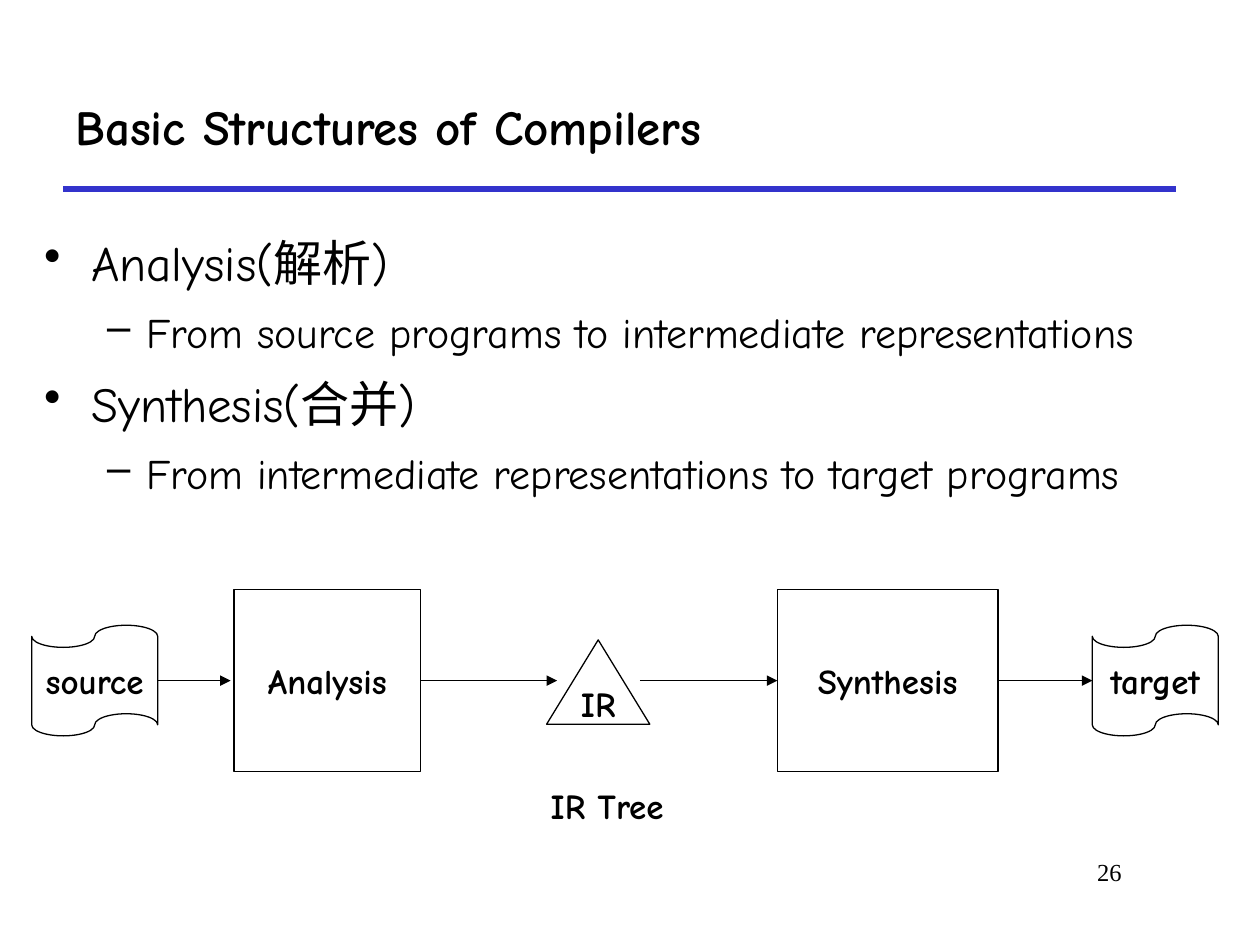
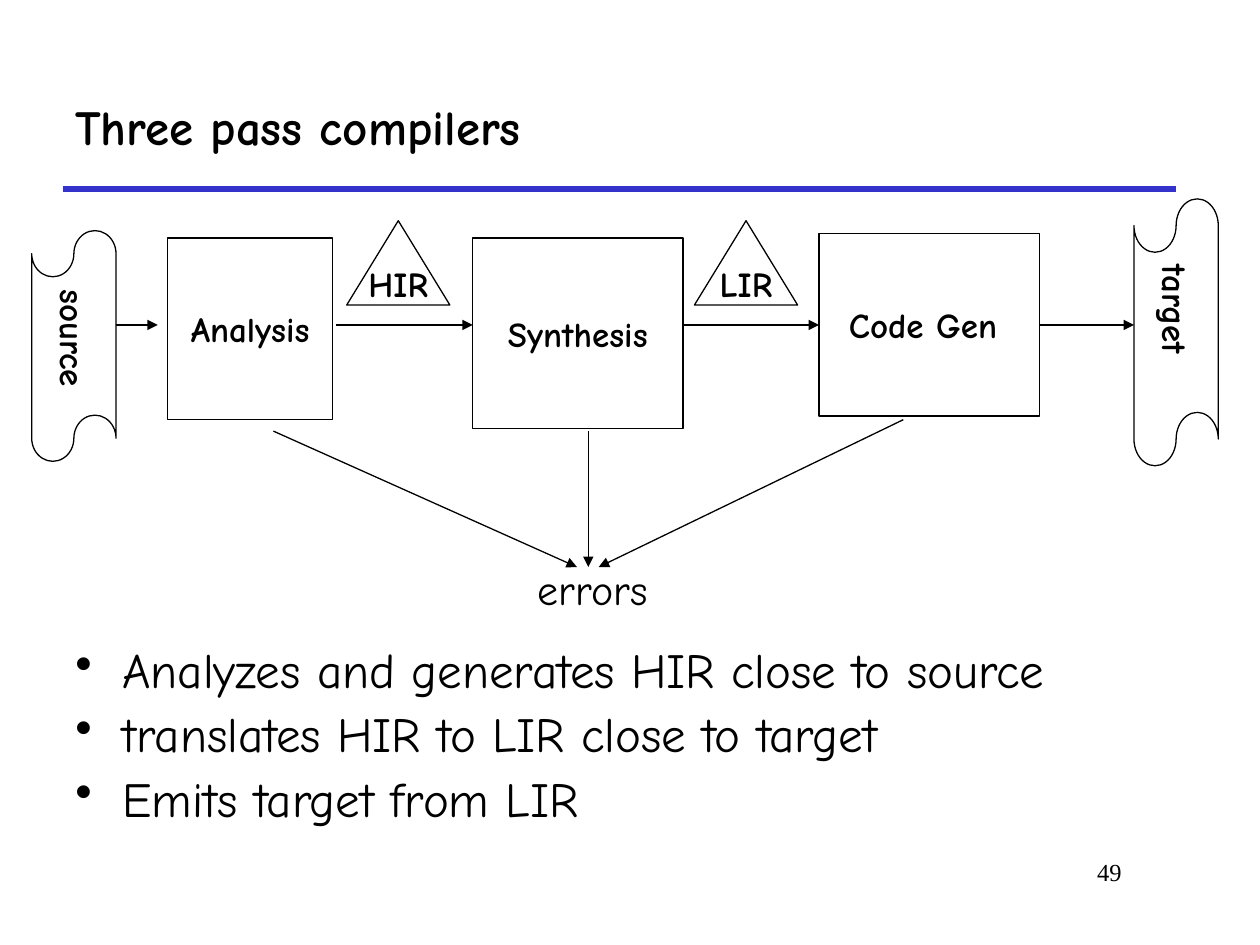
from dataclasses import dataclass

from pptx import Presentation
from pptx.dml.color import RGBColor
from pptx.enum.shapes import MSO_CONNECTOR, MSO_SHAPE
from pptx.enum.text import MSO_ANCHOR, PP_ALIGN
from pptx.oxml.xmlchemy import OxmlElement
from pptx.util import Cm, Pt


@dataclass(frozen=True)
class Theme:
    text: RGBColor = RGBColor(0x00, 0x00, 0x00)
    paper: RGBColor = RGBColor(0xFF, 0xFF, 0xFF)
    rule: RGBColor = RGBColor(0x33, 0x33, 0xCC)
    font: str = "Comic Neue"
    number_font: str = "Times New Roman"
    title_size: int = 28
    label_size: int = 20
    note_size: int = 24
    number_size: int = 14
    line_width: float = 0.75
    rule_width: float = 3


@dataclass(frozen=True)
class BulletLevel:
    mark: str
    size: int
    margin: float
    hanging: float
    space_before: float


@dataclass(frozen=True)
class Box:
    """An area in centimetres."""
    left: float
    top: float
    width: float
    height: float

    def inner(self, left, top, width, height):
        return Box(self.left + left, self.top + top, width, height)

    def point(self, x, y):
        return self.left + x, self.top + y

    def lengths(self):
        return [Cm(value) for value in (self.left, self.top, self.width, self.height)]


THEME = Theme()
LEVELS = (BulletLevel("•", 28, 0.95, 0.95, 6.5), BulletLevel("–", 24, 2.06, 0.79, 5.5))
TITLE_BOX = Box(1.27, 1.27, 22.43, 2.54)
NUMBER_BOX = Box(19.25, 17.15, 3.61, 1.27)
TRIANGLE_SIZE = (2.08, 1.70)
LEFT_SIDE, RIGHT_SIDE = 1, 3


# Text

def add_run(paragraph, text, size, bold=False, font=THEME.font):
    run = paragraph.add_run()
    run.text = text
    run.font.name = font
    run.font.size = Pt(size)
    run.font.bold = bold
    run.font.color.rgb = THEME.text


def add_text(slide, box, text, size, bold=False, font=THEME.font,
             alignment=PP_ALIGN.LEFT, anchor=MSO_ANCHOR.TOP, wrap=True):
    frame = slide.shapes.add_textbox(*box.lengths()).text_frame
    frame.word_wrap = wrap
    frame.vertical_anchor = anchor
    paragraph = frame.paragraphs[0]
    paragraph.alignment = alignment
    add_run(paragraph, text, size, bold, font)


def add_bullets(slide, box, items, line_spacing):
    """Write (level, text) items as a bulleted list."""
    frame = slide.shapes.add_textbox(*box.lengths()).text_frame
    frame.word_wrap = True
    for index, (depth, text) in enumerate(items):
        level = LEVELS[depth]
        paragraph = frame.add_paragraph() if index else frame.paragraphs[0]
        paragraph.level = depth
        paragraph.line_spacing = line_spacing
        paragraph.space_before = Pt(level.space_before if index else 0)
        properties = paragraph._p.get_or_add_pPr()
        properties.set("marL", str(Cm(level.margin)))
        properties.set("indent", str(-Cm(level.hanging)))
        bullet = OxmlElement("a:buChar")
        bullet.set("char", level.mark)
        properties.append(bullet)
        add_run(paragraph, text, level.size)


# Diagram parts

def add_node(slide, kind, box, label, filled=True, vertical=False):
    shape = slide.shapes.add_shape(kind, *box.lengths())
    shape.shadow.inherit = False
    if filled:
        shape.fill.solid()
        shape.fill.fore_color.rgb = THEME.paper
    else:
        shape.fill.background()
    shape.line.color.rgb = THEME.text
    shape.line.width = Pt(THEME.line_width)
    frame = shape.text_frame
    frame.word_wrap = False
    frame.vertical_anchor = MSO_ANCHOR.MIDDLE
    if vertical:
        frame._txBody.bodyPr.set("vert", "eaVert")
    paragraph = frame.paragraphs[0]
    paragraph.alignment = PP_ALIGN.CENTER
    add_run(paragraph, label, THEME.label_size, bold=True)
    return shape


def add_pass(slide, box, label):
    return add_node(slide, MSO_SHAPE.RECTANGLE, box, label, filled=False)


def add_tape(slide, box, label, vertical=False):
    return add_node(slide, MSO_SHAPE.FLOWCHART_PUNCHED_TAPE, box, label, vertical=vertical)


def add_tree(slide, area, left, top, label):
    box = area.inner(left, top, *TRIANGLE_SIZE)
    return add_node(slide, MSO_SHAPE.ISOSCELES_TRIANGLE, box, label)


def add_line(slide, start, end, color, width):
    lengths = [Cm(value) for value in (*start, *end)]
    line = slide.shapes.add_connector(MSO_CONNECTOR.STRAIGHT, *lengths)
    line.line.color.rgb = color
    line.line.width = Pt(width)
    line._element.spPr.append(OxmlElement("a:effectLst"))
    return line


def add_arrow(slide, start, end, source=None, target=None):
    """Draw an arrow, joined to the sides of the rectangles given."""
    arrow = add_line(slide, start, end, THEME.text, THEME.line_width)
    head = OxmlElement("a:tailEnd")
    head.set("type", "triangle")
    arrow.line._get_or_add_ln().append(head)
    if source is not None:
        arrow.begin_connect(source, RIGHT_SIDE)
    if target is not None:
        arrow.end_connect(target, LEFT_SIDE)


def add_flow(slide, area, axis, steps):
    """Draw level arrows from (start x, end x, source, target) steps."""
    for start, end, source, target in steps:
        add_arrow(slide, area.point(start, axis), area.point(end, axis), source, target)


# Regions

def add_frame(slide, title, number):
    """Title, rule below it and slide number."""
    rule_y = TITLE_BOX.top + TITLE_BOX.height
    add_line(slide, (TITLE_BOX.left, rule_y), (TITLE_BOX.left + TITLE_BOX.width, rule_y),
             THEME.rule, THEME.rule_width)
    add_text(slide, TITLE_BOX, title, THEME.title_size, bold=True, anchor=MSO_ANCHOR.MIDDLE)
    add_text(slide, NUMBER_BOX, str(number), THEME.number_size,
             font=THEME.number_font, alignment=PP_ALIGN.RIGHT)


def add_two_pass_diagram(slide, area):
    axis, pass_height, tape_width, tape_height = 1.85, 3.66, 2.54, 2.23

    # Passes and files, centred on the axis
    pass_top, tape_top = axis - pass_height / 2, axis - tape_height / 2
    analysis = add_pass(slide, area.inner(4.08, pass_top, 3.76, pass_height), "Analysis")
    synthesis = add_pass(slide, area.inner(15.03, pass_top, 4.45, pass_height), "Synthesis")
    for left, label in ((0, "source"), (area.width - tape_width, "target")):
        add_tape(slide, area.inner(left, tape_top, tape_width, tape_height), label)

    # Arrows and intermediate tree
    add_flow(slide, area, axis, (
        (2.54, 4.01, None, None),
        (7.84, 10.59, analysis, None),
        (12.26, 15.03, None, synthesis),
        (19.48, 21.38, synthesis, None),
    ))
    add_tree(slide, area, 10.38, 1.03, "IR")
    add_text(slide, area.inner(10.21, 3.83, 3.28, 1.12), "IR Tree",
             THEME.label_size, bold=True, wrap=False)


def add_three_pass_diagram(slide, area):
    axis, tape_width, code_height = 2.54, 1.7, 3.68

    # Passes and files
    add_pass(slide, area.inner(2.74, 0.79, 3.33, 3.66), "Analysis")
    add_pass(slide, area.inner(8.89, 0.79, 4.24, 3.84), "Synthesis")
    code_gen = add_pass(
        slide, area.inner(15.87, axis - code_height / 2, 4.45, code_height), "Code Gen ")
    add_tape(slide, area.inner(0, 0.64, tape_width, 4.65), "source", vertical=True)
    add_tape(slide, area.inner(area.width - tape_width, 0, tape_width, 5.38),
             "target", vertical=True)

    # Arrows and intermediate trees
    add_flow(slide, area, axis, (
        (1.7, 2.54, None, None),
        (6.14, 8.89, None, None),
        (13.13, 15.87, None, code_gen),
        (20.32, 22.22, code_gen, None),
    ))
    for left, label in ((6.35, "HIR"), (13.36, "LIR")):
        add_tree(slide, area, left, 0.44, label)

    # Errors of every pass
    for start_x, start_y, end_x in ((4.87, 4.68, 10.99), (11.22, 4.68, 11.22),
                                    (17.57, 4.45, 11.43)):
        add_arrow(slide, area.point(start_x, start_y), area.point(end_x, 7.42))
    add_text(slide, area.inner(9.95, 7.22, 3.05, 1.27), "errors", THEME.note_size, wrap=False)


# Slides

def add_slide(presentation, title, number):
    slide = presentation.slides.add_slide(presentation.slide_layouts[6])
    add_frame(slide, title, number)
    return slide


def build_structures_slide(presentation):
    slide = add_slide(presentation, "Basic Structures of Compilers", 26)
    add_bullets(slide, Box(0.64, 4.45, 24.33, 6.35), (
        (0, "Analysis(解析)"),
        (1, "From source programs to intermediate representations"),
        (0, "Synthesis(合并)"),
        (1, "From intermediate representations to target programs"),
    ), line_spacing=1.1)
    add_two_pass_diagram(slide, Box(0.64, 11.87, 23.92, 4.95))


def build_three_pass_slide(presentation):
    slide = add_slide(presentation, "Three pass compilers", 49)
    add_three_pass_diagram(slide, Box(0.64, 4.01, 23.92, 8.49))
    add_bullets(slide, Box(1.27, 12.9, 23.06, 4.01), (
        (0, "Analyzes and generates HIR close to source"),
        (0, "translates HIR to LIR close to target"),
        (0, "Emits target from LIR"),
    ), line_spacing=0.9)


def main():
    presentation = Presentation()
    presentation.slide_width = Cm(25.4)
    presentation.slide_height = Cm(19.05)
    build_structures_slide(presentation)
    build_three_pass_slide(presentation)
    presentation.save("out.pptx")


if __name__ == "__main__":
    main()
